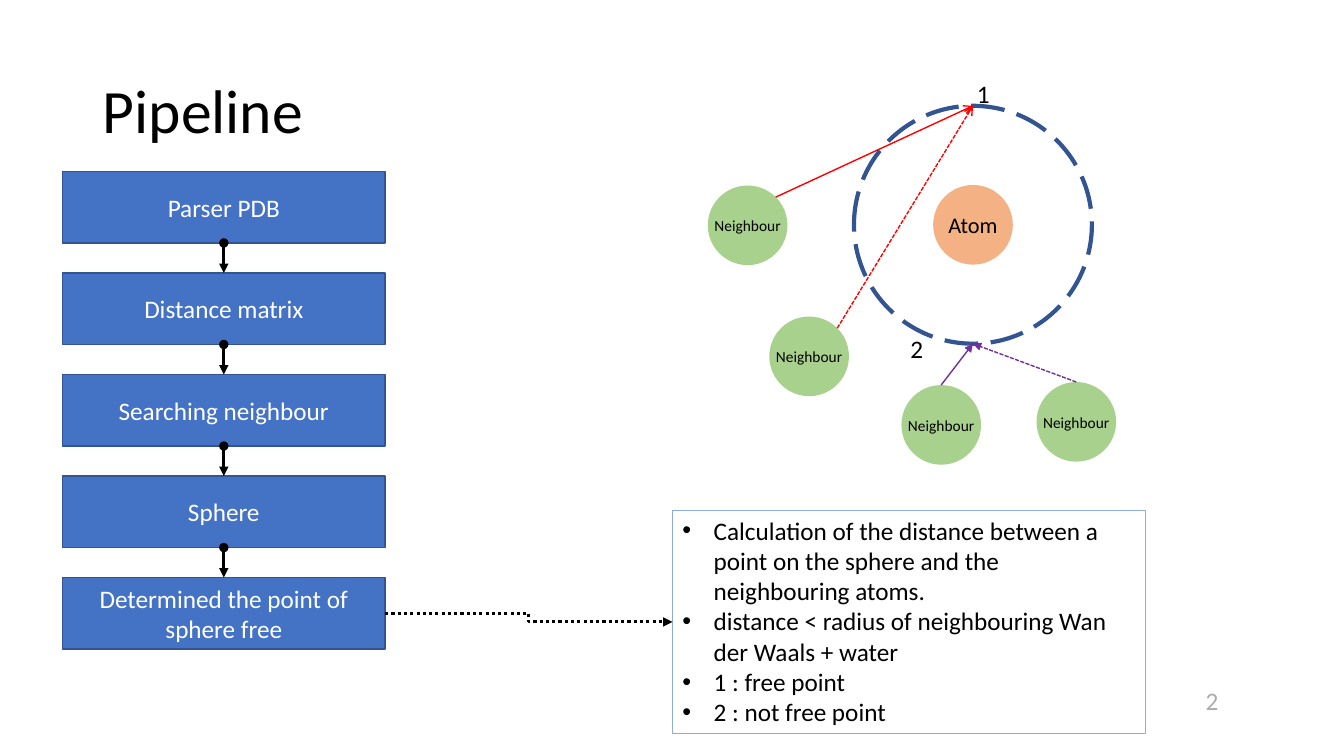
from dataclasses import dataclass
from itertools import pairwise
from math import cos, pi, sin

from lxml.etree import SubElement
from pptx import Presentation
from pptx.dml.color import RGBColor
from pptx.enum.dml import MSO_LINE
from pptx.enum.shapes import MSO_CONNECTOR, MSO_SHAPE
from pptx.enum.text import MSO_ANCHOR, MSO_AUTO_SIZE, PP_ALIGN
from pptx.oxml.ns import qn
from pptx.util import Inches, Pt


@dataclass(frozen=True)
class Theme:
    """Colours, font and type sizes of the slide."""
    font: str = "Calibri"
    black: str = "000000"
    white: str = "FFFFFF"
    grey: str = "AFABAB"
    step: str = "4472C4"
    outline: str = "325491"
    note_line: str = "8FAADC"
    atom: str = "F4B183"
    neighbour: str = "A9D18E"
    free: str = "FF0000"
    blocked: str = "7030A0"
    title_size: int = 44
    body_size: int = 18
    atom_size: int = 16
    neighbour_size: int = 11


@dataclass(frozen=True)
class Box:
    """A rectangle in inches."""
    left: float
    top: float
    width: float
    height: float

    def inches(self):
        """Return the four lengths for python-pptx."""
        return [Inches(v) for v in (self.left, self.top, self.width, self.height)]

    def inner(self, left, top, width, height):
        """Return a box placed relative to this one."""
        return Box(self.left + left, self.top + top, width, height)

    def rim(self, degrees):
        """Return the point on the inscribed ellipse, clockwise from the right."""
        angle = degrees * pi / 180
        return (self.left + self.width / 2 * (1 + cos(angle)),
                self.top + self.height / 2 * (1 + sin(angle)))


THEME = Theme()


def write_text(shape, *lines, size=THEME.body_size, color=THEME.black, align=PP_ALIGN.LEFT,
               anchor=MSO_ANCHOR.TOP, wrap=True, margin=None, spacing=None, bullet=None):
    """Fill a shape with one formatted paragraph for each line."""
    frame = shape.text_frame
    frame.word_wrap = wrap
    frame.auto_size = MSO_AUTO_SIZE.NONE
    frame.vertical_anchor = anchor
    if margin is not None:
        frame.margin_left = frame.margin_right = Inches(margin)
    frame.text = "\n".join(lines)
    for paragraph in frame.paragraphs:
        paragraph.alignment = align
        paragraph.line_spacing = spacing
        font = paragraph.runs[0].font
        font.name, font.size = THEME.font, Pt(size)
        font.color.rgb = RGBColor.from_string(color)
        if bullet:
            properties = paragraph._p.get_or_add_pPr()
            properties.set("marL", str(Inches(0.31)))
            properties.set("indent", str(-Inches(0.31)))
            SubElement(properties, qn("a:buFont"), typeface="Arial")
            SubElement(properties, qn("a:buChar"), char=bullet)


def style_line(line, color, width, dash=None):
    """Set the colour, width and dash of a line."""
    line.color.rgb = RGBColor.from_string(color)
    line.width = Pt(width)
    if dash:
        line.dash_style = dash


def add_shape(shapes, kind, box, fill=None, line=None, width=1, dash=None):
    """Add a flat preset shape."""
    shape = shapes.add_shape(kind, *box.inches())
    shape.shadow.inherit = False
    if fill:
        shape.fill.solid()
        shape.fill.fore_color.rgb = RGBColor.from_string(fill)
    else:
        shape.fill.background()
    if line:
        style_line(shape.line, line, width, dash)
    else:
        shape.line.fill.background()
    return shape


def add_label(shapes, box, text, **text_format):
    """Add a text box on a single line."""
    write_text(shapes.add_textbox(*box.inches()), text, wrap=False, **text_format)


def add_arrow(shapes, start=(0, 0), end=(0, 0), kind=MSO_CONNECTOR.STRAIGHT, color=THEME.black,
              width=2.25, dash=None, head=None, tail="triangle"):
    """Add a connector with arrowheads."""
    arrow = shapes.add_connector(kind, *(Inches(v) for v in (*start, *end)))
    style_line(arrow.line, color, width, dash)
    line = arrow.line._get_or_add_ln()
    if head:
        SubElement(line, qn("a:headEnd"), type=head)
    SubElement(line, qn("a:tailEnd"), type=tail)
    SubElement(arrow._element.spPr, qn("a:effectLst"))
    return arrow


def glue(arrow, source, source_site, target, target_site):
    """Attach a connector to two rectangles."""
    arrow.begin_connect(source, source_site)
    arrow.end_connect(target, target_site)


def add_title(slide, box, text):
    """Place and format the title placeholder."""
    title = slide.shapes.title
    title.left, title.top, title.width, title.height = box.inches()
    write_text(title, text, size=THEME.title_size, anchor=MSO_ANCHOR.MIDDLE, spacing=0.9)


def add_pipeline(slide, box, names, height=0.71):
    """Stack the steps evenly, join them with arrows and return the last one."""
    pitch = (box.height - height) / (len(names) - 1)
    steps = []
    for index, name in enumerate(names):
        step = add_shape(slide.shapes, MSO_SHAPE.RECTANGLE,
                         box.inner(0, index * pitch, box.width, height),
                         fill=THEME.step, line=THEME.outline)
        write_text(step, name, color=THEME.white, align=PP_ALIGN.CENTER,
                   anchor=MSO_ANCHOR.MIDDLE)
        steps.append(step)
    for upper, lower in pairwise(steps):
        glue(add_arrow(slide.shapes, head="oval"), upper, 2, lower, 0)
    return steps[-1]


def add_notes_box(slide, box, lines):
    """Add the outlined box of bullets."""
    shape = add_shape(slide.shapes, MSO_SHAPE.RECTANGLE, box, line=THEME.note_line, width=0.75)
    write_text(shape, *lines, bullet="\u2022")
    return shape


def add_ball(shapes, box, name, fill, size):
    """Add a named circle."""
    ball = add_shape(shapes, MSO_SHAPE.OVAL, box, fill=fill)
    write_text(ball, name, size=size, align=PP_ALIGN.CENTER, anchor=MSO_ANCHOR.MIDDLE,
               wrap=False, margin=0)


def add_sphere_diagram(slide, box, ball=0.79):
    """Draw the atom, its sphere, the neighbours and their distances."""
    shapes = slide.shapes.add_group_shape().shapes
    sphere = box.inner(1.45, 0.32, 2.36, 2.36)
    offset = (sphere.width - ball) / 2
    add_ball(shapes, sphere.inner(offset, offset, ball, ball), "Atom",
             THEME.atom, THEME.atom_size)
    add_shape(shapes, MSO_SHAPE.OVAL, sphere, line=THEME.outline, width=3,
              dash=MSO_LINE.LONG_DASH)
    for text, left, top in (("1", 2.57, 0), ("2", 1.91, 2.53)):
        add_label(shapes, box.inner(left, top, 0.33, 0.4), text)
    free_point, blocked_point = sphere.rim(-90), sphere.rim(90)
    neighbours = (
        (0, 1.11, -45, free_point, THEME.free, None, "arrow"),
        (0.61, 2.41, -45, free_point, THEME.free, MSO_LINE.SQUARE_DOT, "arrow"),
        (1.92, 3.09, -90, blocked_point, THEME.blocked, None, "triangle"),
        (3.26, 3.06, -90, blocked_point, THEME.blocked, MSO_LINE.SQUARE_DOT, "triangle"),
    )
    for left, top, angle, point, color, dash, tail in neighbours:
        place = box.inner(left, top, ball, ball)
        add_ball(shapes, place, "Neighbour", THEME.neighbour, THEME.neighbour_size)
        add_arrow(shapes, place.rim(angle), point, color=color, width=1, dash=dash, tail=tail)


def build_slide(presentation):
    """Build the pipeline slide."""
    slide = presentation.slides.add_slide(presentation.slide_layouts[5])
    add_title(slide, Box(0.92, 0.4, 11.5, 1.45), "Pipeline")
    last_step = add_pipeline(slide, Box(0.62, 1.7, 3.2, 4.74), (
        "Parser PDB", "Distance matrix", "Searching neighbour", "Sphere",
        "Determined the point of sphere free"))
    notes = add_notes_box(slide, Box(6.67, 5.06, 4.69, 2.22), (
        "Calculation of the distance between a point on the sphere and the neighbouring atoms.",
        "distance < radius of neighbouring Wan der Waals + water",
        "1 : free point", "2 : not free point"))
    glue(add_arrow(slide.shapes, kind=MSO_CONNECTOR.ELBOW, dash=MSO_LINE.ROUND_DOT),
         last_step, 3, notes, 1)
    add_sphere_diagram(slide, Box(7.02, 0.73, 4.05, 3.88))
    add_label(slide.shapes, Box(11.86, 6.75, 0.33, 0.4), "2", color=THEME.grey)


presentation = Presentation()
presentation.slide_width, presentation.slide_height = Inches(13.33), Inches(7.5)
build_slide(presentation)
presentation.save("out.pptx")
